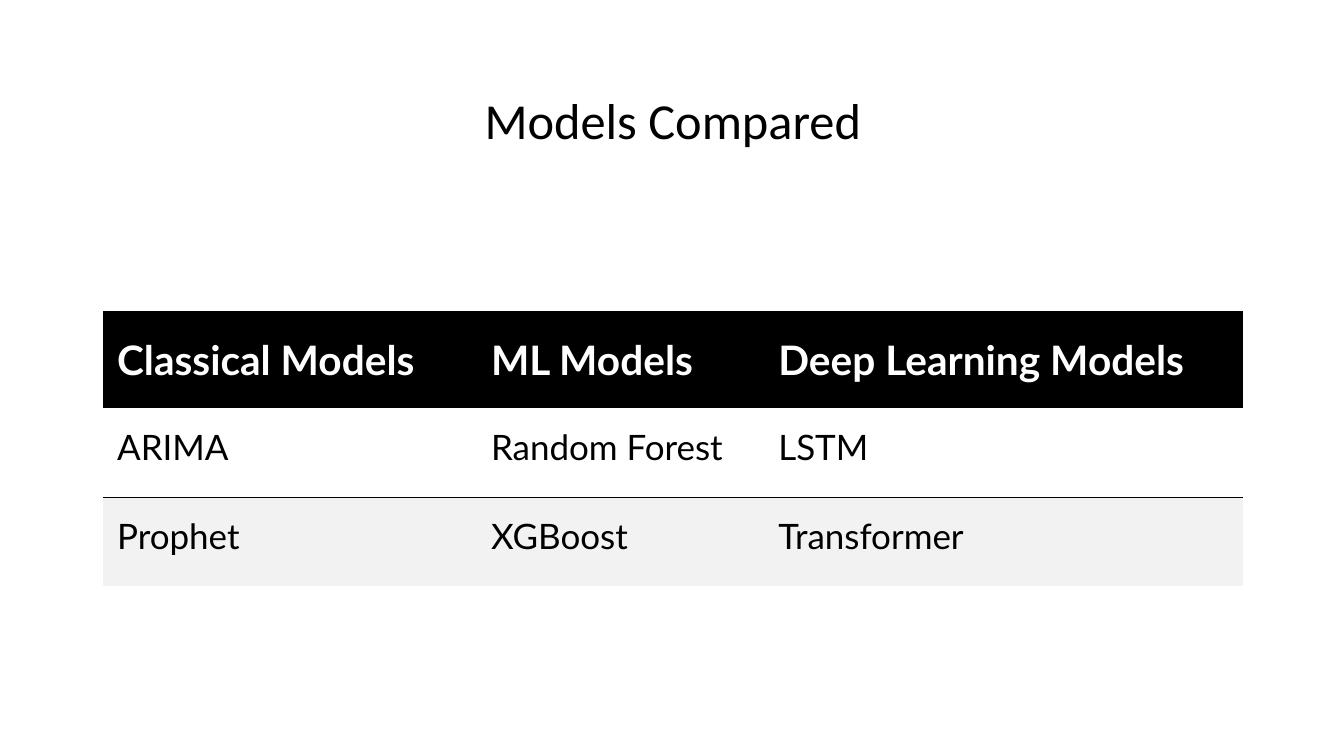
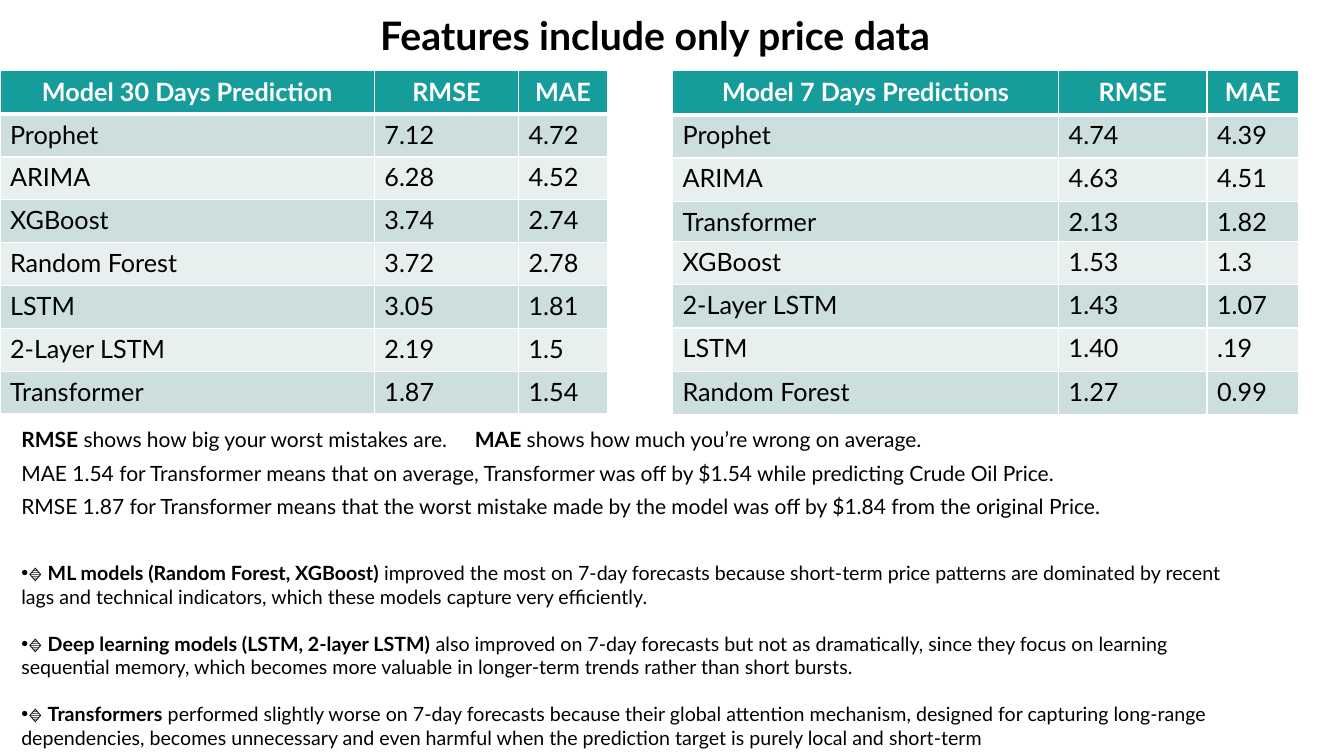
"""Build two slides that compare forecasting models and their errors."""
from dataclasses import dataclass
from typing import NamedTuple

from lxml.etree import SubElement
from pptx import Presentation
from pptx.dml.color import RGBColor
from pptx.enum.text import MSO_ANCHOR, MSO_AUTO_SIZE, PP_ALIGN
from pptx.oxml.ns import qn
from pptx.util import Pt

COLORS = {
    "black": "000000",
    "white": "FFFFFF",
    "light gray": "F2F2F2",
    "teal": "169C9A",
    "teal band": "CCDEDE",
    "pale band": "E8EFEF",
}
FONT = "Lato"
TITLE_FONT = "Calibri"
PLAIN_TABLE_STYLE = "{2D5ABB26-0587-4C30-8999-92F81FD0307C}"
MAE_TAB = 458


class Box(NamedTuple):
    left: float
    top: float
    width: float
    height: float


class Phrase(NamedTuple):
    text: str
    bold: bool = False


class Border(NamedTuple):
    side: str
    color: str
    width: float


@dataclass(frozen=True)
class RowStyle:
    size: float
    color: str
    fill: str
    bold: bool = False
    align: PP_ALIGN = PP_ALIGN.LEFT
    anchor: MSO_ANCHOR = MSO_ANCHOR.TOP
    margins: tuple[float, float, float, float] = (7.2, 3.6, 7.2, 3.6)
    borders: tuple[Border, ...] = ()


@dataclass(frozen=True)
class TableData:
    left: float
    top: float
    column_widths: tuple[float, ...]
    row_heights: tuple[float, ...]
    rows: tuple[tuple[str, ...], ...]


@dataclass(frozen=True)
class BodyParagraph:
    phrases: tuple[Phrase, ...]
    size: float
    before: float = 0
    after: float = 0
    bullet: bool = False
    tab: float | None = None


def grid_borders(bottom: float) -> tuple[Border, ...]:
    """Return white cell borders with the given bottom width."""
    return (Border("L", "white", 1), Border("R", "white", 1), Border("B", "white", bottom))


MODEL_STYLES = (
    RowStyle(29, "white", "black", True, anchor=MSO_ANCHOR.MIDDLE, margins=(10.1, 15.1, 7.2, 15.1)),
    RowStyle(25, "black", "white", margins=(10.1, 13, 7.2, 15.1),
             borders=(Border("B", "black", 1),)),
    RowStyle(25, "black", "light gray", margins=(10.1, 13, 7.2, 15.1)),
)
ERROR_STYLES = (
    RowStyle(18, "white", "teal", True, PP_ALIGN.CENTER, borders=grid_borders(3)),
    RowStyle(18, "black", "teal band", borders=grid_borders(1)),
    RowStyle(18, "black", "pale band", borders=grid_borders(1)),
)

MODELS = TableData(
    73.6, 222, (267.1, 205.2, 342), (69.6, 63.6, 63.6),
    (
        ("Classical Models", "ML Models", "Deep Learning Models"),
        ("ARIMA", "Random Forest", "LSTM"),
        ("Prophet", "XGBoost", "Transformer"),
    ),
)
ERROR_TABLES = (
    TableData(
        0, 51, (267.4, 103, 63.5), (30.6,) * 8,
        (
            ("Model 30 Days Prediction", "RMSE", "MAE"),
            ("Prophet", "7.12", "4.72"),
            ("ARIMA", "6.28", "4.52"),
            ("XGBoost", "3.74", "2.74"),
            ("Random Forest", "3.72", "2.78"),
            ("LSTM", "3.05", "1.81"),
            ("2-Layer LSTM", "2.19", "1.5"),
            ("Transformer", "1.87", "1.54"),
        ),
    ),
    TableData(
        480.4, 51, (275.8, 106, 65.5), (30.9,) * 3 + (28.8,) + (30.9,) * 4,
        (
            ("Model 7 Days Predictions", "RMSE", "MAE"),
            ("Prophet", "4.74", "4.39"),
            ("ARIMA", "4.63", "4.51"),
            ("Transformer", "2.13", "1.82"),
            ("XGBoost", "1.53", "1.3"),
            ("2-Layer LSTM", "1.43", "1.07"),
            ("LSTM", "1.40", ".19"),
            ("Random Forest", "1.27", "0.99"),
        ),
    ),
)

DEFINITIONS = (
    (
        Phrase("RMSE", True),
        Phrase(" shows how big your worst mistakes are."),
        Phrase("\tMAE", True),
        Phrase(" shows how much you’re wrong on average."),
    ),
    (Phrase("MAE 1.54 for Transformer means that on average, Transformer was off by $1.54 "
            "while predicting Crude Oil Price."),),
    (Phrase("RMSE 1.87 for Transformer means that the worst mistake made by the model was "
            "off by $1.84 from the original Price."),),
)
FINDINGS = (
    ("ML models (Random Forest, XGBoost)",
     " improved the most on 7-day forecasts because short-term price patterns are dominated by "
     "recent lags and technical indicators, which these models capture very efficiently."),
    ("Deep learning models (LSTM, 2-layer LSTM)",
     " also improved on 7-day forecasts but not as dramatically, since they focus on learning "
     "sequential memory, which becomes more valuable in longer-term trends rather than short "
     "bursts."),
    ("Transformers",
     " performed slightly worse on 7-day forecasts because their global attention mechanism, "
     "designed for capturing long-range dependencies, becomes unnecessary and even harmful when "
     "the prediction target is purely local and short-term"),
)


def add_run(paragraph, text: str, size: float, color: str, bold: bool, font: str = FONT) -> None:
    """Append one formatted run to a paragraph."""
    run = paragraph.add_run()
    run.text = text
    run.font.name = font
    run.font.size = Pt(size)
    run.font.bold = bold
    run.font.color.rgb = RGBColor.from_string(COLORS[color])


def place(shape, box: Box, anchor: MSO_ANCHOR) -> None:
    """Move a placeholder and fix its text layout."""
    shape.left, shape.top, shape.width, shape.height = (Pt(length) for length in box)
    frame = shape.text_frame
    frame.word_wrap = True
    frame.auto_size = MSO_AUTO_SIZE.NONE
    frame.vertical_anchor = anchor


def set_title(slide, text: str, box: Box, size: float, anchor: MSO_ANCHOR,
              font: str = FONT, bold: bool = False) -> None:
    """Fill the title placeholder."""
    title = slide.shapes.title
    place(title, box, anchor)
    paragraph = title.text_frame.paragraphs[0]
    paragraph.alignment = PP_ALIGN.CENTER
    paragraph.line_spacing = 0.9
    add_run(paragraph, text, size, "black", bold, font)


def style_cell(cell, text: str, style: RowStyle) -> None:
    """Write and format one table cell."""
    cell.margin_left, cell.margin_top, cell.margin_right, cell.margin_bottom = (
        Pt(margin) for margin in style.margins)
    cell.vertical_anchor = style.anchor
    properties = cell._tc.get_or_add_tcPr()
    for border in style.borders:
        line = SubElement(properties, qn(f"a:ln{border.side}"), w=str(Pt(border.width)))
        fill = SubElement(line, qn("a:solidFill"))
        SubElement(fill, qn("a:srgbClr"), val=COLORS[border.color])
    cell.fill.solid()
    cell.fill.fore_color.rgb = RGBColor.from_string(COLORS[style.fill])
    paragraph = cell.text_frame.paragraphs[0]
    paragraph.alignment = style.align
    add_run(paragraph, text, style.size, style.color, style.bold)


def add_model_table(slide, data: TableData, styles: tuple[RowStyle, RowStyle, RowStyle]) -> None:
    """Draw a table with a header style and two alternating row styles."""
    table = slide.shapes.add_table(
        len(data.rows), len(data.column_widths), Pt(data.left), Pt(data.top),
        Pt(sum(data.column_widths)), Pt(sum(data.row_heights))).table
    table._tbl.tblPr.find(qn("a:tableStyleId")).text = PLAIN_TABLE_STYLE
    table.horz_banding = False
    for column, width in zip(table.columns, data.column_widths):
        column.width = Pt(width)
    header, odd, even = styles
    for index, (row, texts) in enumerate(zip(table.rows, data.rows)):
        row.height = Pt(data.row_heights[index])
        style = header if index == 0 else odd if index % 2 else even
        for cell, text in zip(row.cells, texts):
            style_cell(cell, text, style)


def body_paragraphs() -> list[BodyParagraph]:
    """Combine the definitions and the bulleted findings."""
    paragraphs = [
        BodyParagraph(phrases, 15, after=6, tab=None if index else MAE_TAB)
        for index, phrases in enumerate(DEFINITIONS)
    ]
    for index, (subject, statement) in enumerate(FINDINGS):
        phrases = (Phrase("🔹 "), Phrase(subject, True), Phrase(statement))
        paragraphs.append(BodyParagraph(phrases, 14, before=16.8 if index else 24, bullet=True))
    return paragraphs


def fill_body(body, paragraphs: list[BodyParagraph]) -> None:
    """Write the paragraphs into the body placeholder."""
    frame = body.text_frame
    for index, content in enumerate(paragraphs):
        paragraph = frame.add_paragraph() if index else frame.paragraphs[0]
        paragraph.line_spacing = 1.0
        paragraph.space_before = Pt(content.before)
        paragraph.space_after = Pt(content.after)
        properties = paragraph._p.get_or_add_pPr()
        properties.set("marL", "0")
        properties.set("indent", "0")
        if content.bullet:
            SubElement(properties, qn("a:buChar"), char="•")
        else:
            SubElement(properties, qn("a:buNone"))
        if content.tab is not None:
            tabs = SubElement(properties, qn("a:tabLst"))
            SubElement(tabs, qn("a:tab"), pos=str(Pt(content.tab)), algn="l")
        for phrase in content.phrases:
            add_run(paragraph, phrase.text, content.size, "black", phrase.bold)


def build_models_slide(presentation) -> None:
    """Add the overview of the models."""
    slide = presentation.slides.add_slide(presentation.slide_layouts[5])
    set_title(slide, "Models Compared", Box(120, 43, 721.4, 89.3), 36,
              MSO_ANCHOR.MIDDLE, TITLE_FONT)
    add_model_table(slide, MODELS, MODEL_STYLES)


def build_errors_slide(presentation) -> None:
    """Add the error tables and their explanation."""
    slide = presentation.slides.add_slide(presentation.slide_layouts[1])
    set_title(slide, "Features include only price data ", Box(14.4, 5, 913.7, 41), 28,
              MSO_ANCHOR.BOTTOM, bold=True)
    body = slide.placeholders[1]
    place(body, Box(8, 301, 873.4, 234), MSO_ANCHOR.TOP)
    fill_body(body, body_paragraphs())
    for data in ERROR_TABLES:
        add_model_table(slide, data, ERROR_STYLES)


def main() -> None:
    """Build and save the presentation."""
    presentation = Presentation()
    presentation.slide_width = Pt(960)
    presentation.slide_height = Pt(540)
    build_models_slide(presentation)
    build_errors_slide(presentation)
    presentation.save("out.pptx")


if __name__ == "__main__":
    main()
